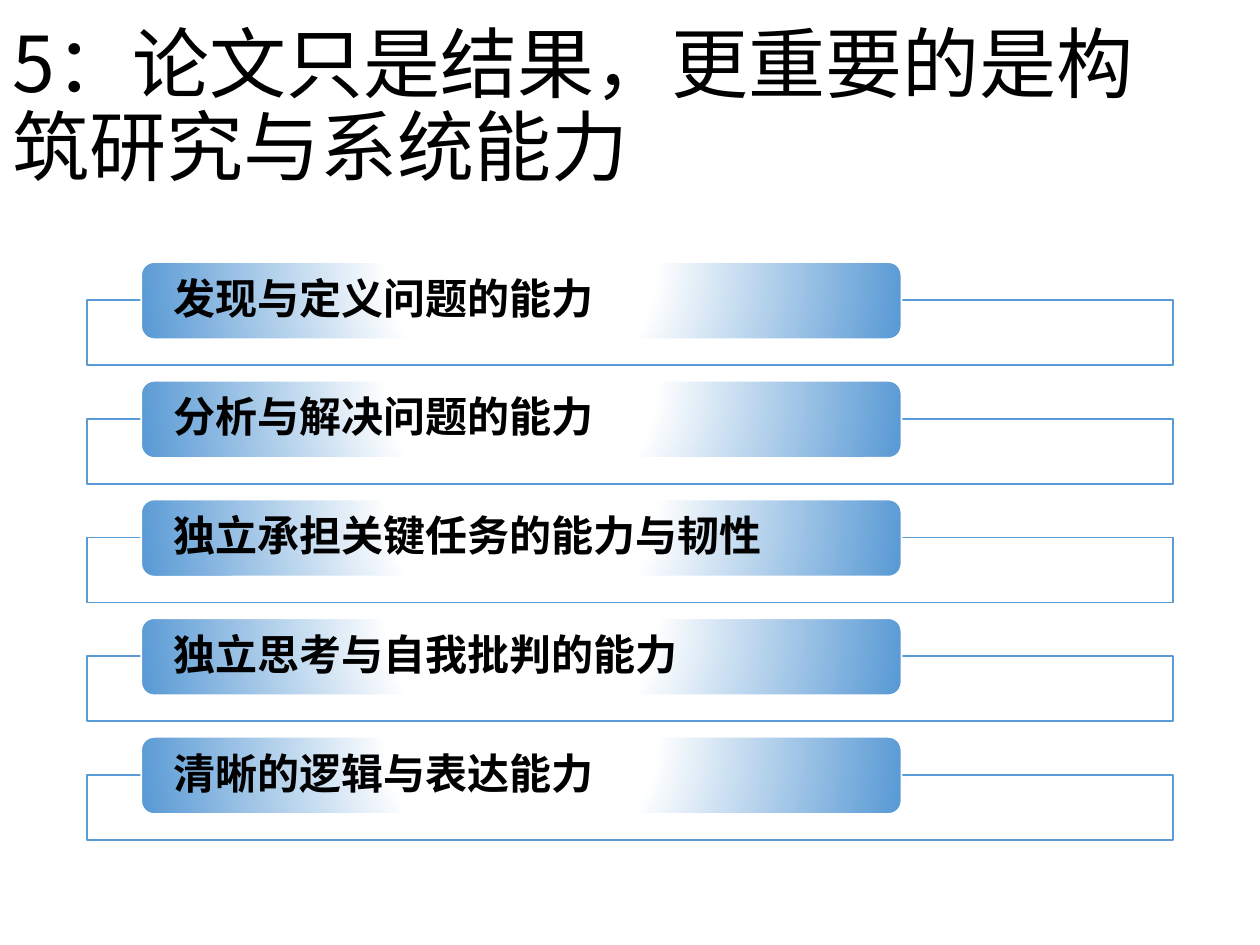
from lxml.etree import SubElement
from pptx import Presentation
from pptx.dml.color import RGBColor
from pptx.enum.shapes import MSO_SHAPE as Kind
from pptx.enum.text import MSO_ANCHOR as Anchor, MSO_AUTO_SIZE as Fit, PP_ALIGN as Align
from pptx.oxml import parse_xml
from pptx.oxml.ns import nsdecls, qn
from pptx.util import Inches, Pt

FACE = "Noto Sans CJK SC"
BLUE, WHITE, BLACK = "5B9BD5", "FFFFFF", "000000"
TITLE = "5：论文只是结果，更重要的是构筑研究与系统能力"
SKILLS = [
    "发现与定义问题的能力",
    "分析与解决问题的能力",
    "独立承担关键任务的能力与韧性",
    "独立思考与自我批判的能力",
    "清晰的逻辑与表达能力",
]


def tint(hue):
    """Turn a hex string into a colour."""
    return RGBColor.from_string(hue)


def write(shape, text, size, bold=False):
    """Fill a shape with one left-aligned, vertically centred paragraph."""
    frame = shape.text_frame
    frame.text = text
    frame.word_wrap = True
    frame.auto_size = Fit.NONE
    frame.vertical_anchor = Anchor.MIDDLE
    para = frame.paragraphs[0]
    para.alignment, para.line_spacing = Align.LEFT, 0.9
    font = para.runs[0].font
    font.size, font.bold, font.name = Pt(size), bold, FACE
    font.color.rgb = tint(BLACK)
    SubElement(para.runs[0]._r.get_or_add_rPr(), qn("a:ea"), typeface=FACE)


def glow(shape):
    """Give a shape a gradient from a white middle to blue ends."""
    stops = "".join(
        f'<a:gs pos="{pos}000"><a:srgbClr val="{hue}"/></a:gs>'
        for pos, hue in ((0, WHITE), (35, WHITE), (100, BLUE))
    )
    shape.fill.background()
    blank = shape._element.spPr.find(qn("a:noFill"))
    blank.getparent().replace(blank, parse_xml(
        f'<a:gradFill {nsdecls("a")} rotWithShape="1"><a:gsLst>{stops}</a:gsLst>'
        '<a:path path="circle"><a:fillToRect l="50000" t="-80000" r="50000" b="180000"/>'
        "</a:path></a:gradFill>"
    ))


def block(group, kind, box, edge):
    """Add an outlined shape to a group."""
    shape = group.shapes.add_shape(kind, *map(Inches, box))
    shape.shadow.inherit = False
    shape.line.color.rgb = tint(edge)
    shape.line.width = Pt(1)
    return shape


def entry(group, text, left, top, width, height):
    """Place one row: an open frame with a label over its top edge."""
    frame = block(group, Kind.RECTANGLE,
                  (left, top + 0.32 * height, width, 0.55 * height), BLUE)
    frame.fill.solid()
    frame.fill.fore_color.rgb = tint(WHITE)
    SubElement(frame._element.spPr.find(".//" + qn("a:srgbClr")), qn("a:alpha"), val="90000")
    label = block(group, Kind.ROUNDED_RECTANGLE,
                  (left + 0.05 * width, top, 0.7 * width, 0.65 * height), WHITE)
    glow(label)
    write(label, text, 24, True)
    area = label.text_frame
    area.margin_left = area.margin_right = Inches(0.23)
    area.margin_top = area.margin_bottom = 0


def roster(slide, left, top, width, height):
    """Stack the skills in equal rows of the box."""
    group = slide.shapes.add_group_shape()
    row = height / len(SKILLS)
    for i, text in enumerate(SKILLS):
        entry(group, text, left, top + i * row, width, row)


def heading(slide, left, top, width, height):
    """Place and format the title."""
    title = slide.shapes.title
    title.left, title.top, title.width, title.height = map(Inches, (left, top, width, height))
    write(title, TITLE, 44)


def main():
    """Build the slide and save it."""
    deck = Presentation()
    wide, high = 10, 7.5
    deck.slide_width, deck.slide_height = Inches(wide), Inches(high)
    slide = deck.slides.add_slide(deck.slide_layouts[5])
    heading(slide, 0, 0.14, 0.92 * wide, 1.45)
    roster(slide, 0.69, 2.08, wide - 2 * 0.69, 4.71)
    deck.save("out.pptx")


if __name__ == "__main__":
    main()
